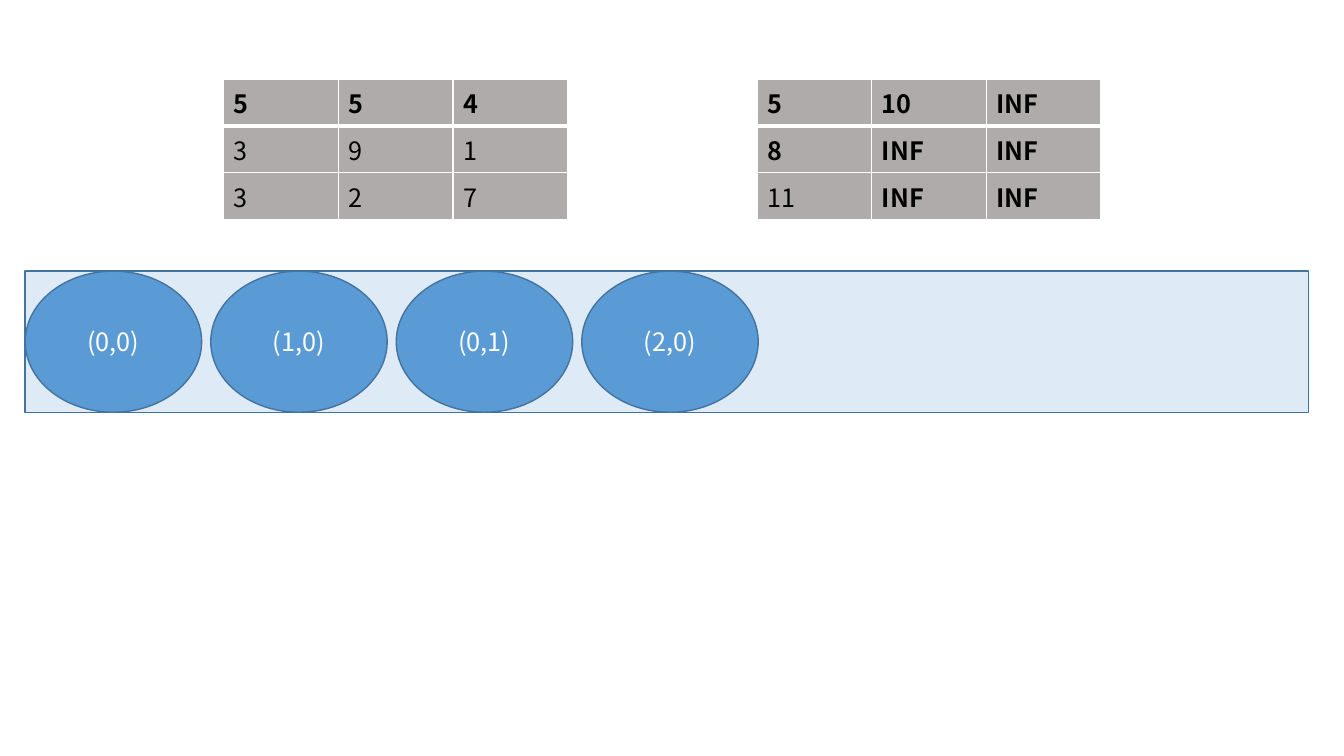
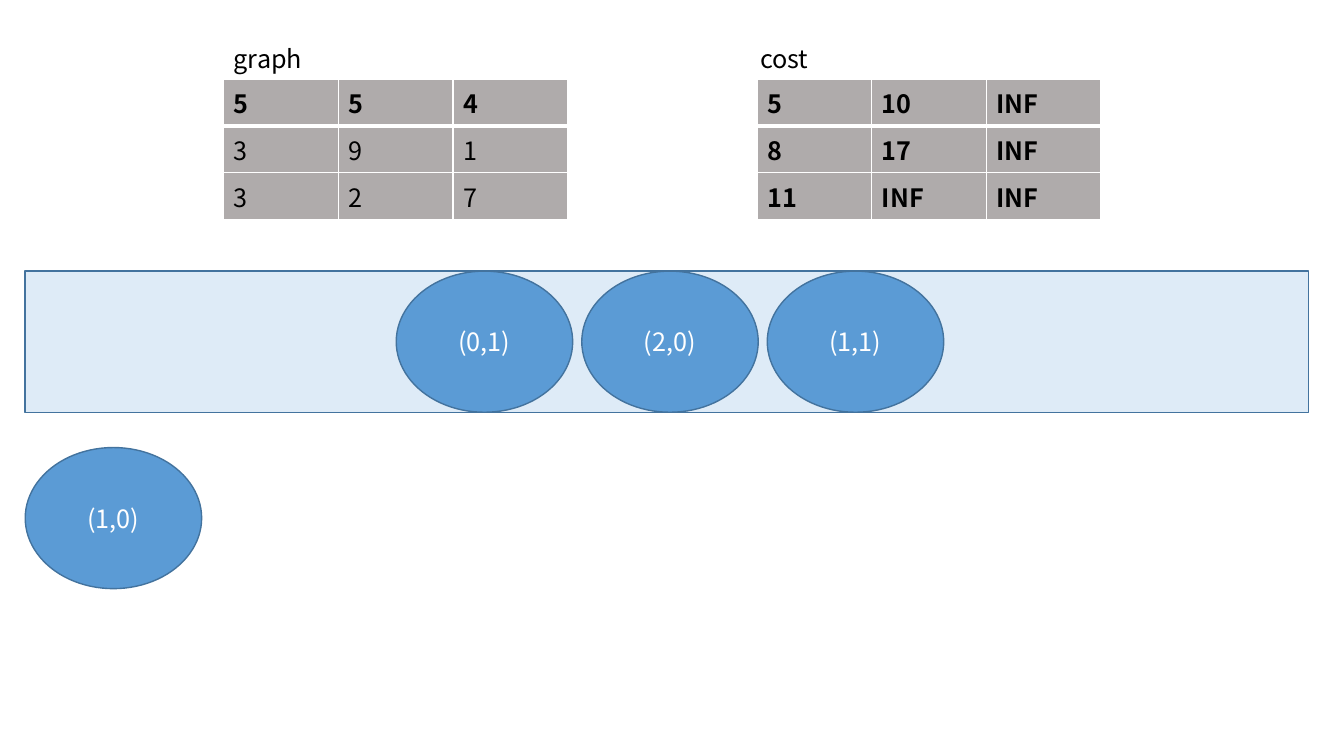
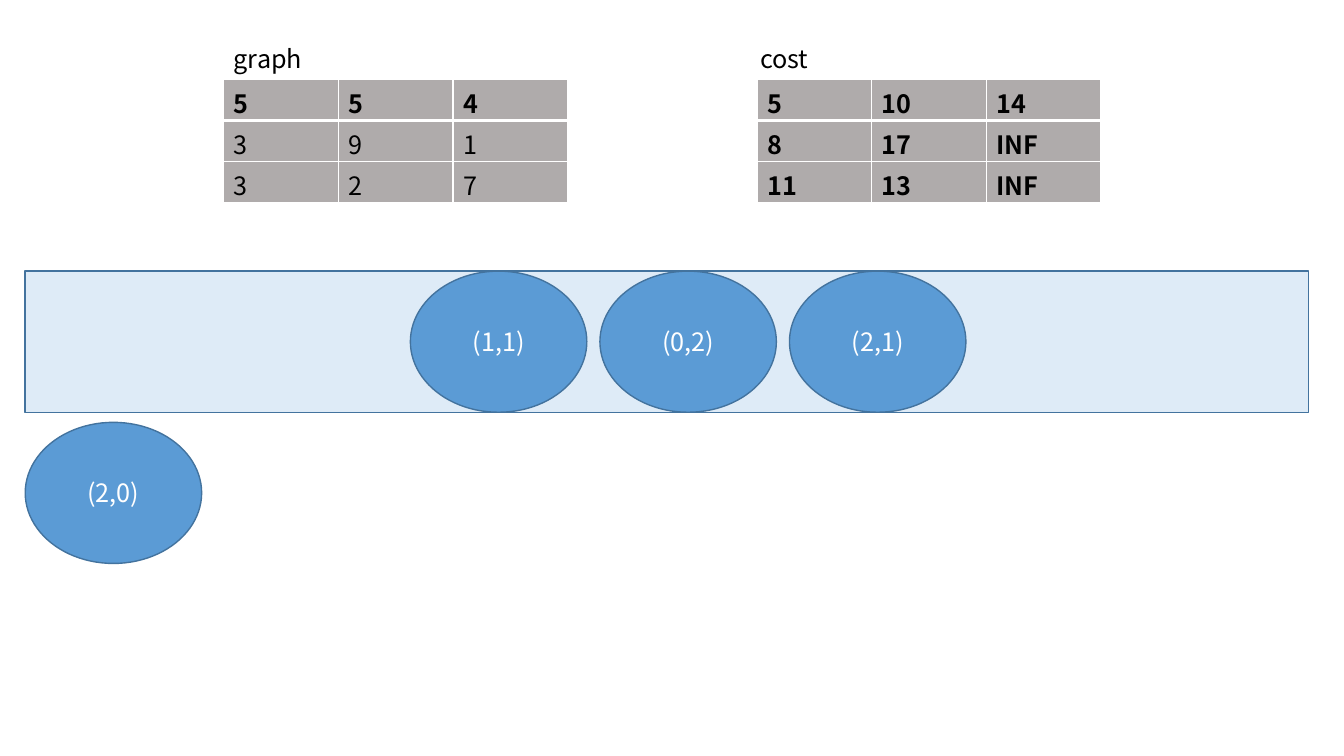
"""Three steps of a shortest-path search: graph, cost table and queue of cells."""
from lxml import etree
from pptx import Presentation
from pptx.dml.color import RGBColor
from pptx.enum import shapes, text
from pptx.oxml import ns
from pptx.util import Inches, Pt

FONT = "Noto Sans CJK KR"
BLACK, WHITE, GREY = "000000", "FFFFFF", "AFABAB"
QUEUE_FILL, NODE_FILL, OUTLINE = "DEEBF7", "5B9BD5", "43739E"
GRAPH_LEFT, COST_LEFT, TABLE_TOP = 2.22, 7.51, 0.79
QUEUE_LEFT, QUEUE_TOP, QUEUE_WIDTH = 0.25, 2.69, 12.73
NODE_WIDTH, NODE_HEIGHT = 1.75, 1.4

GRAPH = ["5 5 4", "3 9 1", "3 2 7"]
GRAPH_PLAIN = {"3", "9", "1", "2", "7"}

STEPS = [
    {"cost": ["5 10 INF", "8 INF INF", "11 INF INF"], "cost_plain": {"11"},
     "captions": [], "popped": [],
     "queued": ["(0,0)", "(1,0)", "(0,1)", "(2,0)"], "start": 0.25, "step": 1.84},
    {"cost": ["5 10 INF", "8 17 INF", "11 INF INF"], "cost_plain": set(),
     "captions": [("graph", 2.22), ("cost", 7.44)], "popped": [("(1,0)", 4.44)],
     "queued": ["(0,1)", "(2,0)", "(1,1)"], "start": 3.93, "step": 1.84},
    {"cost": ["5 10 14", "8 17 INF", "11 13 INF"], "cost_plain": set(),
     "captions": [("graph", 2.22), ("cost", 7.44)], "popped": [("(2,0)", 4.19)],
     "queued": ["(1,1)", "(0,2)", "(2,1)"], "start": 4.07, "step": 1.88},
]


def color(value):
    """Turn a hex string into a colour."""
    return RGBColor.from_string(value)


def style(paragraph, ink, bold=False):
    """Give a paragraph the shared font."""
    paragraph.font.name = FONT
    paragraph.font.size = Pt(18)
    paragraph.font.bold = bold
    paragraph.font.color.rgb = color(ink)


prs = Presentation()
prs.slide_width, prs.slide_height = Inches(13.33), Inches(7.5)

for stage in STEPS:
    slide = prs.slides.add_slide(prs.slide_layouts[6])

    for left, rows, plain in [(GRAPH_LEFT, GRAPH, GRAPH_PLAIN),
                              (COST_LEFT, stage["cost"], stage["cost_plain"])]:
        grid = slide.shapes.add_table(3, 3, Inches(left), Inches(TABLE_TOP),
                                      Inches(3.41), Inches(1.22)).table
        for r, row in enumerate(rows):
            for c, value in enumerate(row.split()):
                cell = grid.cell(r, c)
                cell.text = value
                style(cell.text_frame.paragraphs[0], BLACK, value not in plain)
                cell.fill.solid()
                cell.fill.fore_color.rgb = color(GREY)
                properties = cell._tc.get_or_add_tcPr()
                for position, side in enumerate(["lnL", "lnR", "lnT", "lnB"]):
                    under_header = (r, side) in [(0, "lnB"), (1, "lnT")]
                    border = etree.Element(ns.qn(f"a:{side}"), w=str(Pt(3 if under_header else 1)))
                    paint = etree.SubElement(border, ns.qn("a:solidFill"))
                    etree.SubElement(paint, ns.qn("a:srgbClr"), val=WHITE)
                    properties.insert(position, border)

    for caption, left in stage["captions"]:
        frame = slide.shapes.add_textbox(Inches(left), Inches(0.38),
                                         Inches(1.12), Inches(0.4)).text_frame
        frame.word_wrap = True
        frame.text = caption
        style(frame.paragraphs[0], BLACK)

    queue = (shapes.MSO_SHAPE.RECTANGLE, "", QUEUE_LEFT, QUEUE_TOP, QUEUE_WIDTH, QUEUE_FILL)
    popped = [(shapes.MSO_SHAPE.OVAL, label, QUEUE_LEFT, top, NODE_WIDTH, NODE_FILL)
              for label, top in stage["popped"]]
    queued = [(shapes.MSO_SHAPE.OVAL, label, stage["start"] + i * stage["step"],
               QUEUE_TOP, NODE_WIDTH, NODE_FILL)
              for i, label in enumerate(stage["queued"])]
    for kind, label, left, top, width, fill in [queue, *popped, *queued]:
        node = slide.shapes.add_shape(kind, Inches(left), Inches(top),
                                      Inches(width), Inches(NODE_HEIGHT))
        node.shadow.inherit = False
        node.fill.solid()
        node.fill.fore_color.rgb = color(fill)
        node.line.color.rgb = color(OUTLINE)
        node.line.width = Pt(1)
        if label:
            node.text_frame.text = label
            node.text_frame.vertical_anchor = text.MSO_ANCHOR.MIDDLE
            node.text_frame.paragraphs[0].alignment = text.PP_ALIGN.CENTER
            style(node.text_frame.paragraphs[0], WHITE)

prs.save("out.pptx")
